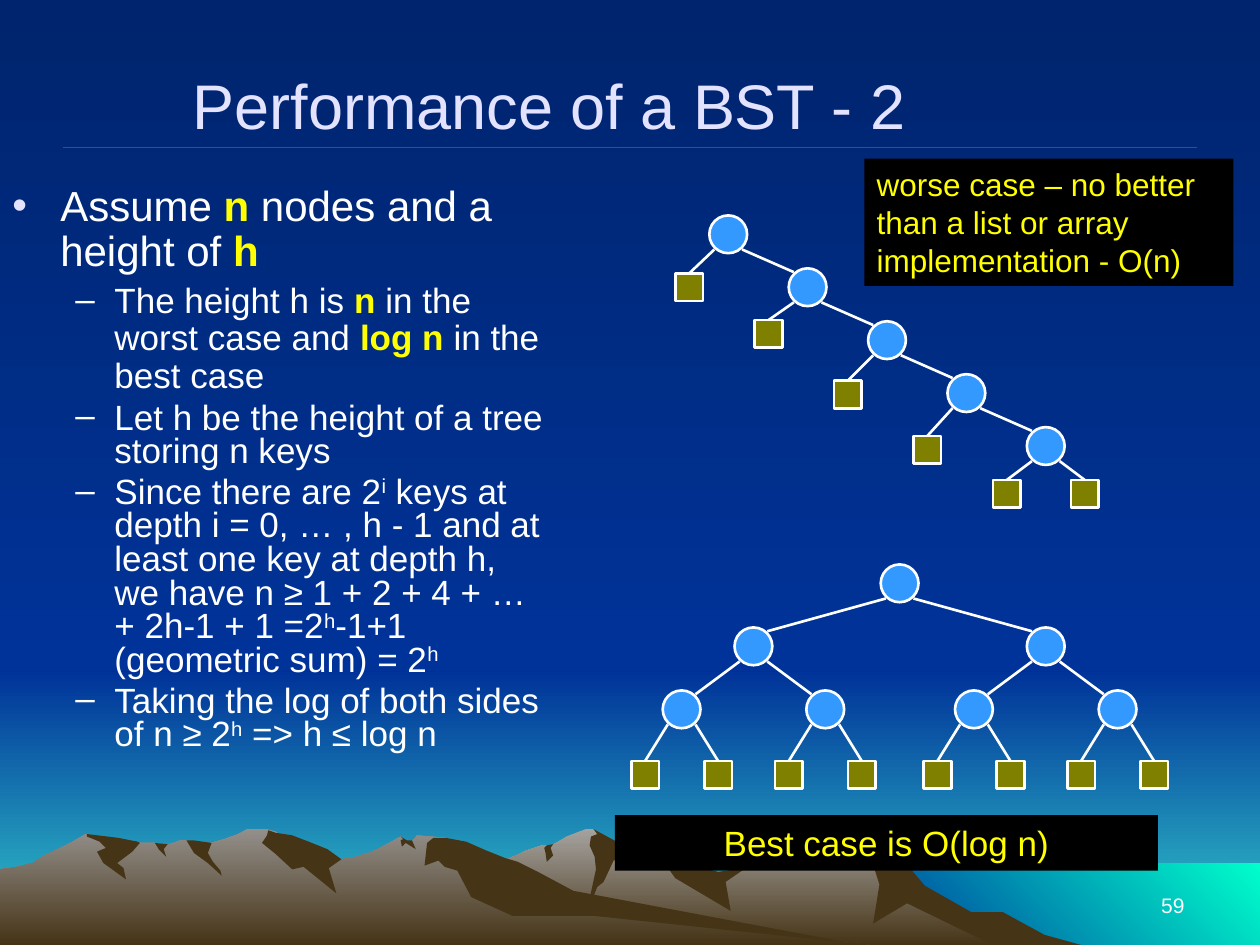
from lxml import etree
from pptx import Presentation
from pptx.dml.color import RGBColor
from pptx.enum import shapes, text
from pptx.oxml import ns
from pptx.util import Inches, Pt

NIGHT = RGBColor(0x00, 0x24, 0x6D)
BLUE = RGBColor(0x00, 0x33, 0x99)
TEAL = RGBColor(0x33, 0xCC, 0xCC)
AQUA = RGBColor(0x00, 0xFF, 0xCC)
ROCK = RGBColor(0xA5, 0xA2, 0x9F)
RANGE = RGBColor(0x93, 0x8F, 0x8B)
EARTH = RGBColor(0x46, 0x34, 0x16)
RED = RGBColor(0xEF, 0x01, 0x29)
LAVENDER = RGBColor(0xE3, 0xE3, 0xFF)
WHITE = RGBColor(0xFF, 0xFF, 0xFF)
YELLOW = RGBColor(0xFF, 0xFF, 0x00)
BLACK = RGBColor(0x00, 0x00, 0x00)
SKY = RGBColor(0x33, 0x99, 0xFF)
OLIVE = RGBColor(0x80, 0x80, 0x00)

FRONT_PEAK = [
    (802, 740), (778, 727), (764, 723), (723, 698), (702, 671), (685, 660), (676, 666), (656, 671),
    (629, 671), (613, 681), (566, 697), (536, 690), (529, 676), (526, 673), (509, 669), (486, 673),
    (474, 661), (471, 658), (465, 658), (450, 664), (438, 671), (430, 671), (418, 675), (405, 681),
    (394, 685), (355, 698), (327, 709), (277, 739), (258, 750), (821, 750)]
LEFT_RANGE = [
    (690, 750), (667, 748), (432, 712), (354, 665), (331, 663), (327, 668), (323, 668), (318, 664),
    (296, 676), (279, 681), (271, 682), (260, 676), (236, 681), (223, 663), (219, 660), (212, 658),
    (196, 658), (189, 662), (178, 666), (160, 671), (148, 667), (143, 667), (132, 671), (123, 669),
    (111, 669), (94, 671), (68, 662), (56, 669), (46, 674), (35, 679), (26, 685), (14, 688),
    (0, 690), (0, 750)]
FRONT_SHADOWS = [
    [(796, 724), (771, 724), (734, 703), (707, 671), (685, 660), (689, 664), (685, 671), (691, 680),
     (698, 702), (693, 733), (720, 717), (788, 750), (858, 750), (829, 742)],
    [(471, 658), (474, 662), (469, 664), (468, 671), (472, 680), (473, 690), (465, 727), (474, 704),
     (479, 700), (487, 683), (490, 682), (490, 676), (497, 671), (493, 670)],
    [(529, 676), (526, 683), (536, 697), (580, 723), (576, 700), (592, 689), (570, 692), (542, 685)],
    [(433, 677), (432, 673), (434, 671), (439, 670), (437, 673), (439, 679), (434, 684)]]
RANGE_SHADOWS = [
    [(212, 663), (208, 669), (219, 678), (232, 690), (241, 688), (267, 709), (261, 689), (271, 682),
     (260, 674), (245, 668), (232, 663), (219, 661), (213, 659)],
    [(370, 668), (354, 665), (344, 665), (339, 669), (337, 687), (348, 683), (353, 688), (363, 691),
     (374, 712), (407, 727), (472, 727), (690, 750), (683, 750), (455, 707), (427, 692), (411, 684),
     (401, 681), (386, 675)],
    [(318, 667), (320, 666), (318, 664), (323, 667), (327, 667), (330, 674), (322, 669), (319, 672)],
    [(154, 667), (168, 669), (165, 677), (169, 684), (175, 691), (176, 695), (165, 685), (154, 677),
     (148, 667)],
    [(133, 670), (130, 674), (132, 680), (126, 674), (123, 669)],
    [(109, 668), (111, 669), (105, 676), (93, 685), (98, 689), (100, 698), (82, 685), (77, 676),
     (84, 673), (79, 668), (69, 664), (69, 662), (94, 665)]]

PLAIN, KEY, RAISED = range(3)
POINTS = [
    (0, 0.9, [("Assume ", PLAIN), ("n", KEY), (" nodes and a height of ", PLAIN), ("h", KEY)]),
    (1, 0.9, [("The height h is ", PLAIN), ("n ", KEY), ("in the worst case and ", PLAIN),
              ("log n ", KEY), ("in the best case", PLAIN)]),
    (1, 0.8, [("Let h be the height of a tree storing n keys", PLAIN)]),
    (1, 0.8, [("Since there are 2", PLAIN), ("i", RAISED),
              (" keys at depth i = 0, … , h - 1 and at least one key at depth h, "
               "we have n ≥ 1 + 2 + 4 + … + 2h-1 + 1 =2", PLAIN), ("h", RAISED),
              ("-1+1 (geometric sum) = 2", PLAIN), ("h", RAISED)]),
    (1, 0.8, [("Taking the log of both sides of n ≥ 2", PLAIN), ("h", RAISED),
              (" => h ≤ log n", PLAIN)])]


def paint(fill, start, end=None, angle=270):
    """Fill with one colour, or with a gradient when an end colour is given."""
    if end is None:
        fill.solid()
        fill.fore_color.rgb = start
        return
    fill.gradient()
    fill.gradient_angle = angle
    for stop, color in zip(fill.gradient_stops, (start, end)):
        stop.color.rgb = color


def add_block(slide, kind, box, *colors, angle=270):
    """Add an unlined preset shape filled with the given colours."""
    block = slide.shapes.add_shape(kind, *map(Inches, box))
    block.shadow.inherit = False
    block.line.fill.background()
    paint(block.fill, *colors, angle=angle)
    return block


def add_ridge(slide, outline, *colors):
    """Add a closed outline given in hundredths of an inch."""
    builder = slide.shapes.build_freeform(*outline[0], scale=Inches(0.01))
    builder.add_line_segments(outline[1:], close=True)
    ridge = builder.convert_to_shape()
    ridge.shadow.inherit = False
    ridge.line.fill.background()
    paint(ridge.fill, *colors)


def add_line(slide, start, end, color=WHITE, width=1.5):
    """Add a straight line without shadow."""
    line = slide.shapes.add_connector(
        shapes.MSO_CONNECTOR.STRAIGHT, *map(Inches, (*start, *end)))
    line.line.color.rgb = color
    line.line.width = Pt(width)
    etree.SubElement(line._element.spPr, ns.qn("a:effectLst"))
    return line


def add_landscape(slide):
    """Draw the sky, sea and mountains behind the content."""
    paint(slide.background.fill, NIGHT, BLUE)
    rectangle = shapes.MSO_SHAPE.RECTANGLE
    add_block(slide, rectangle, (0, 5.33, 10, 2.17), BLUE, TEAL)
    add_block(slide, rectangle, (0, 0, 10, 5.33), NIGHT, BLUE)
    add_block(slide, rectangle, (6.83, 6.85, 3.17, 0.65), BLUE, AQUA, angle=45)
    for lit, light, shadows in ((FRONT_PEAK, ROCK, FRONT_SHADOWS),
                                (LEFT_RANGE, RANGE, RANGE_SHADOWS)):
        add_ridge(slide, lit, light, EARTH)
        for shadow in shadows:
            add_ridge(slide, shadow, EARTH)


def write(frame, words, size, color, align, anchor):
    """Write a single paragraph into a text frame."""
    frame.word_wrap = True
    frame.vertical_anchor = anchor
    line = frame.paragraphs[0]
    line.text = words
    line.alignment = align
    line.font.name, line.font.size, line.font.color.rgb = "Arial", Pt(size), color


def add_points(slide, box):
    """Write the two-level bullet list."""
    frame = slide.shapes.add_textbox(*map(Inches, box)).text_frame
    frame.word_wrap = True
    levels = [(0.38, 0.38, "•", LAVENDER, 24), (0.81, 0.31, "–", WHITE, 20)]
    for index, (level, spacing, pieces) in enumerate(POINTS):
        margin, hang, mark, mark_color, size = levels[level]
        point = frame.add_paragraph() if index else frame.paragraphs[0]
        point.level = level
        point.line_spacing = spacing
        point.space_before = Pt(size * 0.2 if index else 0)
        props = point._p.get_or_add_pPr()
        props.set("marL", str(Inches(margin)))
        props.set("indent", str(-Inches(hang)))
        tint = etree.SubElement(props, ns.qn("a:buClr"))
        etree.SubElement(tint, ns.qn("a:srgbClr"), val=str(mark_color))
        etree.SubElement(props, ns.qn("a:buFont"), typeface="Arial")
        etree.SubElement(props, ns.qn("a:buChar"), char=mark)
        point.font.name, point.font.size, point.font.color.rgb = "Arial", Pt(size), WHITE
        for words, style in pieces:
            run = point.add_run()
            run.text = words
            if style == KEY:
                run.font.bold = True
                run.font.color.rgb = YELLOW
            elif style == RAISED:
                run._r.get_or_add_rPr().set("baseline", "30000")


def add_node(slide, x, y, leaf=False):
    """Add a tree node centred on a point: a square leaf or a round key."""
    kind, size, color = ((shapes.MSO_SHAPE.RECTANGLE, 0.22, OLIVE) if leaf
                         else (shapes.MSO_SHAPE.OVAL, 0.3, SKY))
    node = add_block(slide, kind, (x - size / 2, y - size / 2, size, size), color)
    node.line.color.rgb = WHITE
    node.line.width = Pt(1.5)
    return node


def add_child(slide, parent, child, leaf=False):
    """Add a node and the edge that leads down to it."""
    (px, py), (cx, cy) = parent, child
    side = 0.11 if cx > px else -0.11
    node = add_node(slide, cx, cy, leaf)
    end = (cx, cy - 0.11) if leaf else (cx - side, cy - 0.12)
    edge = add_line(slide, (px + side, py + 0.12), end)
    if leaf:
        edge.end_connect(node, 0)


def add_worst_tree(slide, left, top):
    """Draw the chain-shaped tree from its top left corner."""
    keys = [(left + 0.42 + 0.63 * i, top + 0.15 + 0.42 * i) for i in range(5)]
    add_node(slide, *keys[0])
    for parent, child in zip(keys, keys[1:]):
        add_child(slide, parent, child)
    for (x, y), drop in zip(keys, (0.57, 0.94, 1.42, 1.86, 2.21)):
        add_child(slide, (x, y), (x - 0.31, top + drop), leaf=True)
    x, y = keys[-1]
    add_child(slide, keys[-1], (x + 0.31, y + 0.38), leaf=True)


def add_best_tree(slide, x, y, spreads=(1.16, 0.57, 0.29)):
    """Draw the balanced tree below its root, level by level."""
    if len(spreads) == 3:
        add_node(slide, x, y)
    leaf = len(spreads) == 1
    for side in (-1, 1):
        child = (x + side * spreads[0], y + (0.52 if leaf else 0.5))
        add_child(slide, (x, y), child, leaf)
        if not leaf:
            add_best_tree(slide, *child, spreads[1:])


def add_callout(slide, box, words, size, align):
    """Add a black box with yellow words."""
    callout = add_block(slide, shapes.MSO_SHAPE.RECTANGLE, box, BLACK)
    write(callout.text_frame, words, size, YELLOW, align, text.MSO_ANCHOR.TOP)


def add_headings(slide):
    """Write the title over its rule, and the page number."""
    add_line(slide, (0.5, 1.17), (9.5, 1.17), RED, 0.75)
    number = slide.shapes.add_textbox(*map(Inches, (7.17, 6.83, 2.33, 0.5)))
    write(number.text_frame, "59", 12, WHITE, text.PP_ALIGN.RIGHT, text.MSO_ANCHOR.BOTTOM)
    title = slide.shapes.add_textbox(*map(Inches, (0, 0.2, 9, 1.25)))
    title.text_frame.margin_right = Inches(0.38)
    write(title.text_frame, "Performance of a BST - 2", 36, LAVENDER,
          text.PP_ALIGN.CENTER, text.MSO_ANCHOR.MIDDLE)


def main():
    """Build and save the slide."""
    deck = Presentation()
    deck.slide_width, deck.slide_height = Inches(10), Inches(7.5)
    slide = deck.slides.add_slide(deck.slide_layouts[6])
    add_landscape(slide)
    add_headings(slide)
    add_points(slide, (0, 1.42, 4.42, 4.92))
    add_worst_tree(slide, 5.36, 1.71)
    add_best_tree(slide, 7.14, 4.63)
    add_callout(slide, (6.86, 1.26, 2.93, 1.01),
                "worse case – no better than a list or array implementation - O(n)",
                18, text.PP_ALIGN.LEFT)
    add_callout(slide, (4.88, 6.47, 4.31, 0.44), "Best case is O(log n)",
                20, text.PP_ALIGN.CENTER)
    deck.save("out.pptx")


if __name__ == "__main__":
    main()
